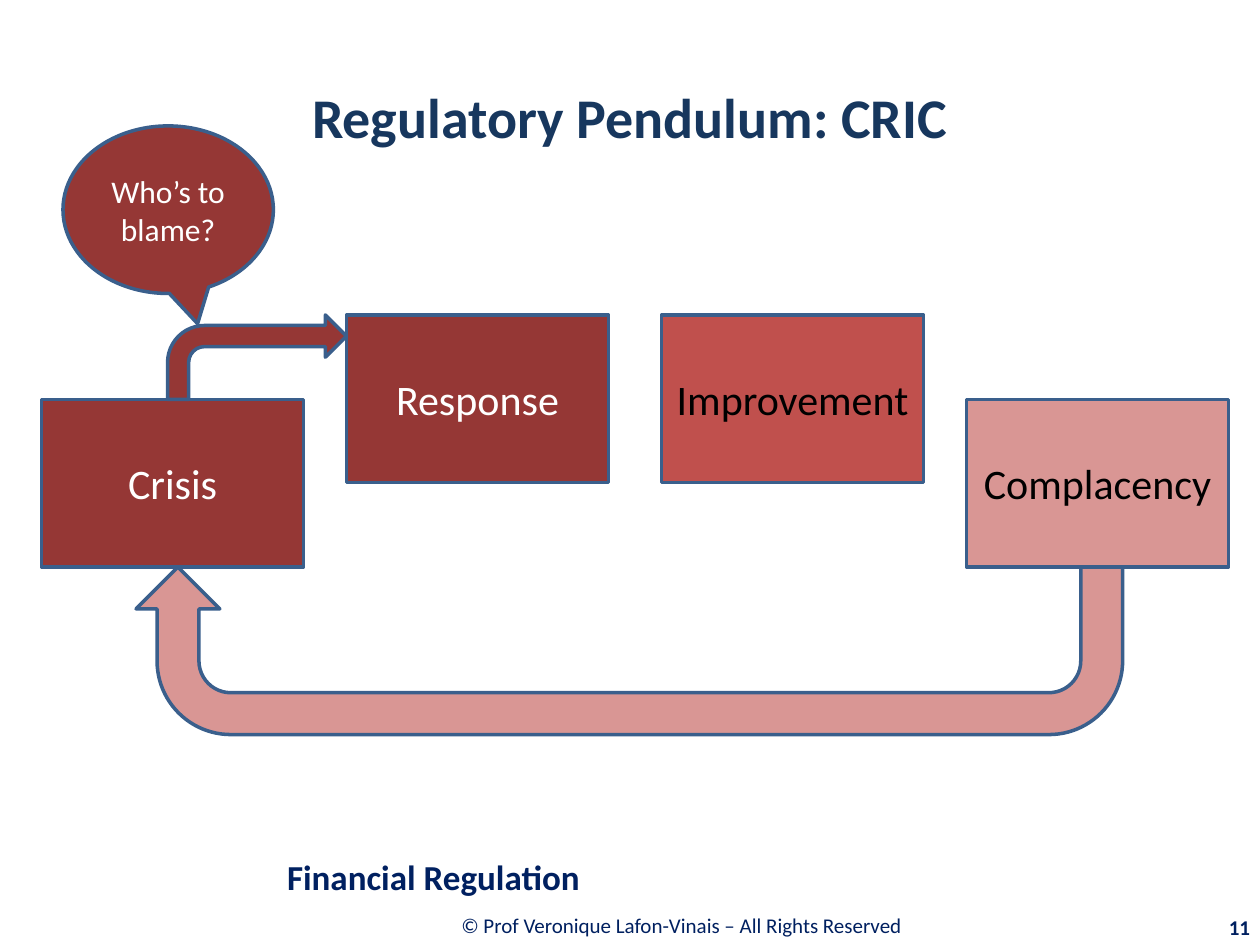
"""Build the regulatory pendulum slide."""
from dataclasses import dataclass

from pptx import Presentation
from pptx.dml.color import RGBColor
from pptx.enum import shapes, text
from pptx.util import Inches, Pt


@dataclass(frozen=True)
class Theme:
    """Colours, font and type sizes of the slide."""
    font: str = "Calibri"
    title: str = "17375E"
    navy: str = "002060"
    dark_red: str = "953735"
    red: str = "C0504D"
    pink: str = "D99694"
    outline: str = "3A5F8C"
    white: str = "FFFFFF"
    black: str = "000000"
    title_size: int = 32
    stage_size: int = 24
    course_size: int = 20
    callout_size: int = 18
    footer_size: int = 12
    line_width: int = 2


def write_text(shape, content, *, font, size, color, bold=False,
               align=text.PP_ALIGN.CENTER):
    """Write one formatted, vertically centred paragraph."""
    frame = shape.text_frame
    frame.word_wrap = True
    frame.vertical_anchor = text.MSO_ANCHOR.MIDDLE
    paragraph = frame.paragraphs[0]
    paragraph.alignment = align
    run = paragraph.add_run()
    run.text = content
    run.font.name = font
    run.font.size = Pt(size)
    run.font.bold = bold
    run.font.color.rgb = RGBColor.from_string(color)


class SlideBuilder:
    """Add styled elements to the current slide."""

    def __init__(self, slide, theme):
        self.slide = slide
        self.theme = theme

    def title(self, content, left, top, width, height):
        """Place and fill the title placeholder."""
        shape = self.slide.shapes.title
        shape.left, shape.top = Inches(left), Inches(top)
        shape.width, shape.height = Inches(width), Inches(height)
        write_text(shape, content, font=self.theme.font, bold=True,
                   size=self.theme.title_size, color=self.theme.title)

    def label(self, content, left, top, width, height, **style):
        """Add a navy text box."""
        box = self.slide.shapes.add_textbox(
            Inches(left), Inches(top), Inches(width), Inches(height))
        write_text(box, content, font=self.theme.font,
                   color=self.theme.navy, **style)

    def block(self, kind, left, top, width, height, fill, adjustments=()):
        """Add an outlined preset shape."""
        shape = self.slide.shapes.add_shape(
            kind, Inches(left), Inches(top), Inches(width), Inches(height))
        shape.shadow.inherit = False
        shape.fill.solid()
        shape.fill.fore_color.rgb = RGBColor.from_string(fill)
        shape.line.color.rgb = RGBColor.from_string(self.theme.outline)
        shape.line.width = Pt(self.theme.line_width)
        for index, value in enumerate(adjustments):
            shape.adjustments[index] = value
        return shape

    def stage(self, content, left, top, fill, color):
        """Add one stage of the cycle."""
        shape = self.block(shapes.MSO_SHAPE.FLOWCHART_PROCESS,
                           left, top, 2.08, 1.33, fill)
        write_text(shape, content, font=self.theme.font,
                   size=self.theme.stage_size, color=color)

    def callout(self, content, left, top, width, height, fill, tip):
        """Add an oval speech bubble."""
        shape = self.block(shapes.MSO_SHAPE.OVAL_CALLOUT,
                           left, top, width, height, fill, tip)
        write_text(shape, content, font=self.theme.font,
                   size=self.theme.callout_size, color=self.theme.white)


def main():
    """Compose and save the slide."""
    theme = Theme()
    presentation = Presentation()
    presentation.slide_width = Inches(10)
    presentation.slide_height = Inches(7.5)
    slide = presentation.slides.add_slide(presentation.slide_layouts[5])
    builder = SlideBuilder(slide, theme)

    builder.title("Regulatory Pendulum: CRIC", 0.5, 0.3, 9, 1.25)
    builder.label("© Prof Veronique Lafon-Vinais – All Rights Reserved",
                  2.17, 7.15, 6.48, 0.39, size=theme.footer_size)
    builder.label("11", 9.01, 7.2, 1.01, 0.32, size=theme.footer_size,
                  bold=True, align=text.PP_ALIGN.RIGHT)
    builder.label("Financial Regulation", 2.18, 6.72, 7.82, 0.47,
                  size=theme.course_size, bold=True, align=text.PP_ALIGN.LEFT)

    upper, lower = 2.5, 3.17
    for stage in (
        ("Crisis", 0.33, lower, theme.dark_red, theme.white),
        ("Response", 2.75, upper, theme.dark_red, theme.white),
        ("Improvement", 5.25, upper, theme.red, theme.black),
        ("Complacency", 7.67, lower, theme.pink, theme.black),
    ):
        builder.stage(*stage)

    return_arrow = builder.block(shapes.MSO_SHAPE.U_TURN_ARROW, 1.08, 4.5,
                                 7.83, 1.33, theme.pink,
                                 (0.25, 0.25, 0.25, 0.44, 1))
    return_arrow.rotation = 180
    builder.callout("Who’s to blame?", 0.5, 1, 1.67, 1.33, theme.dark_red,
                    (0.14, 0.68))
    builder.block(shapes.MSO_SHAPE.BENT_ARROW, 1.33, upper, 1.42, 0.67,
                  theme.dark_red)

    presentation.save("out.pptx")


if __name__ == "__main__":
    main()
